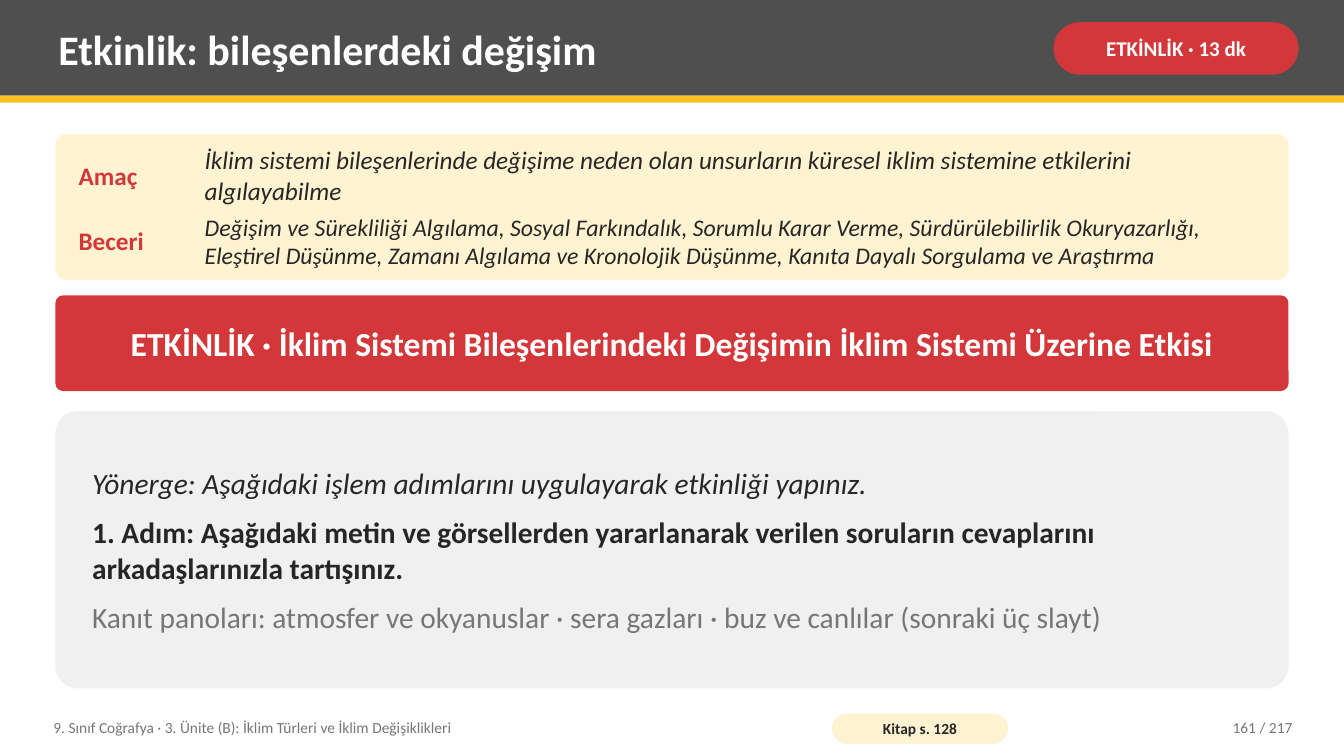
from pptx import Presentation
from pptx.dml.color import RGBColor
from pptx.enum.shapes import MSO_SHAPE as Shape
from pptx.enum.text import MSO_ANCHOR as Anchor, MSO_AUTO_SIZE as AutoSize, PP_ALIGN as Align
from pptx.util import Inches, Pt

FONT = "Calibri"
RED, CREAM, YELLOW = "D3373A", "FFF3D1", "FCC021"
WHITE, DARK, GRAY = "FFFFFF", "262626", "767676"
HEADER_GRAY, PANEL_GRAY = "4F4F4F", "F0F0F0"
LEFT, WIDTH = 0.55, 12.23
color = RGBColor.from_string


def add_panel(left, top, width, height, fill, corner=None):
    """Add a filled shape; a corner value makes it a rounded rectangle."""
    kind = Shape.RECTANGLE if corner is None else Shape.ROUNDED_RECTANGLE
    panel = slide.shapes.add_shape(
        kind, Inches(left), Inches(top), Inches(width), Inches(height))
    if corner is not None:
        panel.adjustments[0] = corner
    panel.shadow.inherit = False
    panel.fill.solid()
    panel.fill.fore_color.rgb = color(fill)
    panel.line.fill.background()
    return panel


def write(shape, lines, size, align=Align.LEFT, inset=(0.08, 0.04), space_after=0):
    """Fill a shape with lines of (text, colour, style); style holds b and/or i."""
    frame = shape.text_frame
    frame.word_wrap = True
    frame.auto_size = AutoSize.NONE
    frame.vertical_anchor = Anchor.MIDDLE
    frame.margin_left = frame.margin_right = Inches(inset[0])
    frame.margin_top = frame.margin_bottom = Inches(inset[1])
    frame.text = "\n".join(text for text, _, _ in lines)
    for paragraph, (_, text_color, style) in zip(frame.paragraphs, lines):
        paragraph.alignment = align
        if paragraph.text != lines[-1][0]:
            paragraph.space_after = Pt(space_after)
        font = paragraph.runs[0].font
        font.name = FONT
        font.size = Pt(size)
        font.bold = "b" in style
        font.italic = "i" in style
        font.color.rgb = color(text_color)


presentation = Presentation()
presentation.slide_width = Inches(13.33)
presentation.slide_height = Inches(7.5)
slide = presentation.slides.add_slide(presentation.slide_layouts[5])

# Header
add_panel(0, 0, 13.33, 0.95, HEADER_GRAY)
add_panel(0, 0.95, 13.33, 0.07, YELLOW)
title = slide.shapes.title
title.left, title.top = Inches(0.5), Inches(0.07)
title.width, title.height = Inches(9.75), Inches(0.82)
write(title, [("Etkinlik: bileşenlerdeki değişim", WHITE, "b")], 30)
title.element.getparent().append(title.element)  # in front of the header bar
duration_badge = add_panel(10.45, 0.22, 2.43, 0.52, RED, 0.5)
write(duration_badge, [("ETKİNLİK · 13 dk", WHITE, "b")], 15, Align.CENTER, (0.05, 0.02))

# Aim and skills
add_panel(LEFT, 1.33, WIDTH, 1.45, CREAM, 0.08)
goals = [
    ("Amaç", 1.39, 0.69, 18,
     "İklim sistemi bileşenlerinde değişime neden olan unsurların küresel iklim "
     "sistemine etkilerini algılayabilme"),
    ("Beceri", 2.06, 0.66, 17,
     "Değişim ve Sürekliliği Algılama, Sosyal Farkındalık, Sorumlu Karar Verme, "
     "Sürdürülebilirlik Okuryazarlığı, Eleştirel Düşünme, Zamanı Algılama ve "
     "Kronolojik Düşünme, Kanıta Dayalı Sorgulama ve Araştırma"),
]
for label, top, height, size, description in goals:
    label_box = slide.shapes.add_textbox(
        Inches(0.7), Inches(top), Inches(1.25), Inches(height))
    write(label_box, [(label, RED, "b")], 18)
    description_box = slide.shapes.add_textbox(
        Inches(1.95), Inches(top), Inches(10.63), Inches(height))
    write(description_box, [(description, DARK, "i")], size)

# Activity name and instructions
activity_banner = add_panel(LEFT, 2.93, WIDTH, 0.95, RED, 0.08)
activity_name = "ETKİNLİK · İklim Sistemi Bileşenlerindeki Değişimin İklim Sistemi Üzerine Etkisi"
write(activity_banner, [(activity_name, WHITE, "b")], 24, Align.CENTER, (0.14, 0.08))

instructions = [
    ("Yönerge: Aşağıdaki işlem adımlarını uygulayarak etkinliği yapınız.", DARK, "i"),
    ("1. Adım: Aşağıdaki metin ve görsellerden yararlanarak verilen soruların "
     "cevaplarını arkadaşlarınızla tartışınız.", DARK, "b"),
    ("Kanıt panoları: atmosfer ve okyanuslar · sera gazları · buz ve canlılar "
     "(sonraki üç slayt)", GRAY, ""),
]
instruction_panel = add_panel(LEFT, 4.08, WIDTH, 2.75, PANEL_GRAY, 0.08)
write(instruction_panel, instructions, 21, inset=(0.3, 0.08), space_after=10)

# Footer
footer_items = [
    (0.45, 7.6, Align.LEFT,
     "9. Sınıf Coğrafya · 3. Ünite (B): İklim Türleri ve İklim Değişiklikleri"),
    (11.3, 1.6, Align.RIGHT, "161 / 217"),
]
for left, width, align, text in footer_items:
    footer_box = slide.shapes.add_textbox(
        Inches(left), Inches(7.04), Inches(width), Inches(0.36))
    write(footer_box, [(text, GRAY, "")], 11, align)
page_badge = add_panel(8.25, 7.08, 1.75, 0.3, CREAM, 0.5)
write(page_badge, [("Kitap s. 128", DARK, "b")], 11, Align.CENTER, (0.04, 0))

presentation.save("out.pptx")
